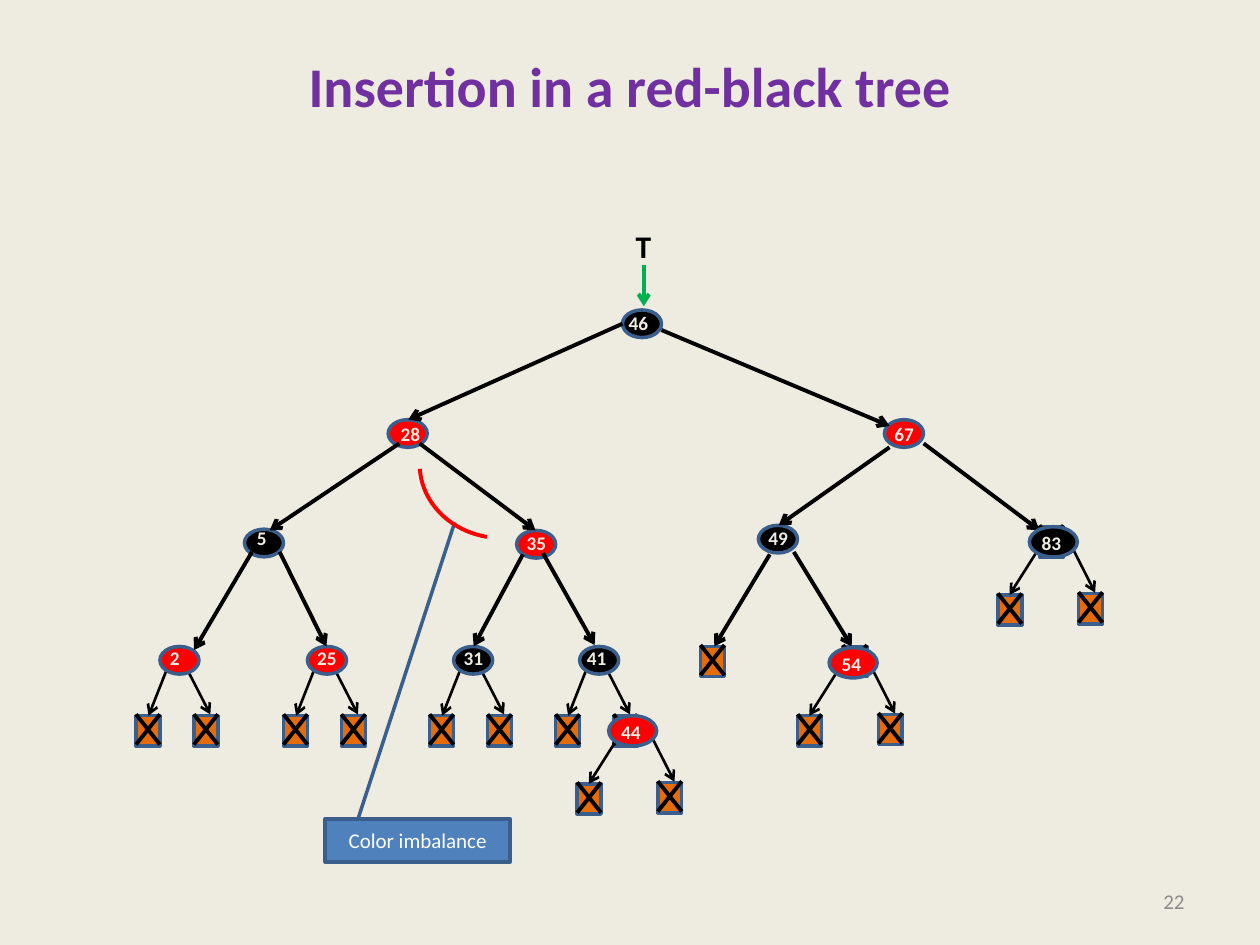
from pptx import Presentation
from pptx.dml.color import RGBColor
from pptx.enum.shapes import MSO_CONNECTOR, MSO_SHAPE
from pptx.enum.text import MSO_ANCHOR, MSO_AUTO_SIZE, PP_ALIGN
from pptx.oxml.ns import qn
from pptx.util import Pt
from lxml.etree import SubElement

COLORS = {
    "paper": "EEECE1", "title": "7030A0", "number": "8C8C8C",
    "black": "000000", "red": "FF0000", "leaf": "E46C0A",
    "outline": "3A5F8C", "callout": "4F81BD", "white": "FFFFFF",
    "green": "00B050",
}

FORMATS = {
    "title": {"size": Pt(32), "bold": True},
    "pointer": {"size": Pt(18), "bold": True},
    "key": {"size": Pt(11), "bold": True},
    "note": {"size": Pt(12), "bold": False},
}

NODE = (22.3, 15.8)
WIDE_NODE = (27.4, 17.3)
LEAF = (13.7, 17.3)

NODES = [
    ("46", 355.7, 177.1, "black", 352.1, 174.2),
    ("67", 505.4, 239.8, "red", 504, 237.6),
    ("5", 139.7, 302.4, "black", 139.7, 297.4),
    ("49", 433.4, 300.2, "black", 432, 297.4),
    ("35", 295.2, 303.1, "red", 293.8, 300.2),
    ("28", 221.8, 239.8, "red", 221.8, 237.6),
    ("2", 91.4, 369.4, "red", 90, 365.8),
    ("25", 175.7, 369.4, "red", 174.2, 365.8),
    ("31", 259.2, 369.4, "black", 257.8, 365.8),
    ("41", 331.2, 369.4, "black", 328.3, 365.8),
]
LEAF_PARENTS = ("2", "25", "31", "41")
WIDE_NODES = [
    ("83", 588.2, 301, "black"),
    ("54", 473.8, 370.1, "red"),
    ("44", 347.8, 409, "red"),
]
LONE_LEAVES = [(400.3, 369.4), (481.7, 369.4), (594, 301)]

EDGES = [
    (355.7, 185, 233.3, 239.8),
    (228.2, 253.4, 154.1, 303.1),
    (298.8, 316.8, 270.7, 369.4),
    (144, 315.4, 110.9, 371.5),
    (439.9, 316.8, 408.2, 369.4),
    (508.3, 255.6, 445, 300.2),
    (239.8, 253.4, 306, 303.1),
    (527.8, 253.4, 594, 303.1),
    (159.8, 315.4, 186.5, 369.4),
    (310.3, 316.1, 339.8, 368.6),
    (453.6, 315.4, 486.7, 369.4),
    (378, 188.6, 508.3, 243.4),
]

NODE_PAIR = [
    ((-13.7, 39.6), (4.3, 12.2, -6.5, 39.6)),
    ((19.4, 39.6), (15.1, 12.2, 28.8, 38.9)),
]
WIDE_PAIR = [
    ((-18, 38.9), (4, 14.7, -11.3, 38.9)),
    ((28.1, 38.2), (24, 10.9, 37.6, 37.7)),
]


def rgb(name):
    return RGBColor.from_string(COLORS[name])


class TreeSlide:
    font = "Calibri"

    def __init__(self, prs):
        self.s = prs.slides.add_slide(prs.slide_layouts[5])
        fill = self.s.background.fill
        fill.solid()
        fill.fore_color.rgb = rgb("paper")

    def add_run(self, tf, text, style, color, align):
        p = tf.paragraphs[0]
        p.alignment = align
        r = p.add_run()
        r.text = text
        for name, value in {"name": self.font, **FORMATS[style]}.items():
            setattr(r.font, name, value)
        r.font.color.rgb = rgb(color)

    def title(self, text, left, top, width, height):
        sp = self.s.shapes.title
        box = {"left": left, "top": top, "width": width, "height": height}
        for name, value in box.items():
            setattr(sp, name, Pt(value))
        tf = sp.text_frame
        tf.vertical_anchor = MSO_ANCHOR.MIDDLE
        tf.margin_bottom = Pt(39.6)
        self.add_run(tf, text, "title", "title", PP_ALIGN.CENTER)

    def text(self, text, box, style, color, align=PP_ALIGN.LEFT,
             wrap=True, anchor=MSO_ANCHOR.TOP, grow=True):
        tf = self.s.shapes.add_textbox(*map(Pt, box)).text_frame
        tf.word_wrap = wrap
        tf.vertical_anchor = anchor
        if grow:
            tf.auto_size = MSO_AUTO_SIZE.SHAPE_TO_FIT_TEXT
        self.add_run(tf, text, style, color, align)

    def shape(self, kind, box, fill=None, line="outline", weight=2):
        sp = self.s.shapes.add_shape(kind, *map(Pt, box))
        sp.shadow.inherit = False
        if fill:
            sp.fill.solid()
            sp.fill.fore_color.rgb = rgb(fill)
        else:
            sp.fill.background()
        sp.line.color.rgb = rgb(line)
        sp.line.width = Pt(weight)
        return sp

    def line(self, ends, weight=2.25, color="black", arrow=False):
        cx = self.s.shapes.add_connector(MSO_CONNECTOR.STRAIGHT, *map(Pt, ends))
        cx.line.color.rgb = rgb(color)
        cx.line.width = Pt(weight)
        props = cx.element.spPr
        if arrow:
            SubElement(props.find(qn("a:ln")), qn("a:tailEnd"), type="arrow")
        SubElement(props, qn("a:effectLst"))

    def leaf(self, x, y):
        w, h = LEAF
        self.shape(MSO_SHAPE.RECTANGLE, (x, y, w, h), "leaf")
        top, bottom = y - 0.8, y + h - 0.8
        self.line((x + w, top, x, bottom))
        self.line((x, top, x + w, bottom))

    def leaf_pair(self, x, y, pair):
        for (dx, dy), (x1, y1, x2, y2) in pair:
            self.leaf(x + dx, y + dy)
            self.line((x + x1, y + y1, x + x2, y + y2), 1.5, arrow=True)

    def node(self, x, y, size, color):
        self.shape(MSO_SHAPE.OVAL, (x, y, *size), color)

    def wide_node(self, key, x, y, color):
        self.leaf_pair(x, y, WIDE_PAIR)
        self.node(x, y, WIDE_NODE, color)
        self.text(key, (x, y - 0.7, 31, 20.9), "key", "paper")

    def callout(self, text, box, adjustments):
        sp = self.shape(MSO_SHAPE.LINE_CALLOUT_1, box, "callout")
        for i, value in enumerate(adjustments):
            sp.adjustments[i] = value
        tf = sp.text_frame
        tf.vertical_anchor = MSO_ANCHOR.MIDDLE
        self.add_run(tf, text, "note", "white", PP_ALIGN.CENTER)

    def arc(self, box, rotation, start):
        sp = self.shape(MSO_SHAPE.ARC, box, line="red", weight=2.25)
        sp.adjustments[0] = start
        sp.adjustments[1] = 0
        sp.rotation = rotation


def main():
    prs = Presentation()
    prs.slide_width, prs.slide_height = Pt(720), Pt(540)
    tree = TreeSlide(prs)
    tree.title("Insertion in a red-black tree", 36, 21.6, 648, 90)
    tree.text("22", (516.2, 500.4, 167.8, 28.8), "note", "number",
              PP_ALIGN.RIGHT, anchor=MSO_ANCHOR.MIDDLE, grow=False)

    for key, x, y, *_ in NODES:
        if key in LEAF_PARENTS:
            tree.leaf_pair(x, y, NODE_PAIR)
    for x, y in LONE_LEAVES:
        tree.leaf(x, y)
    for _, x, y, color, *_ in NODES:
        tree.node(x, y, NODE, color)
    for ends in EDGES:
        tree.line(ends, arrow=True)

    tree.line((367.9, 151.2, 367.9, 175), color="green", arrow=True)
    tree.text("T", (347.8, 126, 39.6, 28.8), "pointer", "black", PP_ALIGN.CENTER)
    for key, _, _, _, x, y in NODES:
        width = 14.4 + 5.7 * len(key)
        tree.text(key, (x, y, width, 20.9), "key", "paper", wrap=False)
    for node in WIDE_NODES:
        tree.wide_node(*node)

    tree.callout("Color imbalance", (185.8, 468, 105.8, 24.5),
                 (-0.03, 0.18, -6.92, 0.7))
    tree.arc((239.8, 221.8, 95.8, 85.7), 176.1, 171.89)
    prs.save("out.pptx")


if __name__ == "__main__":
    main()
